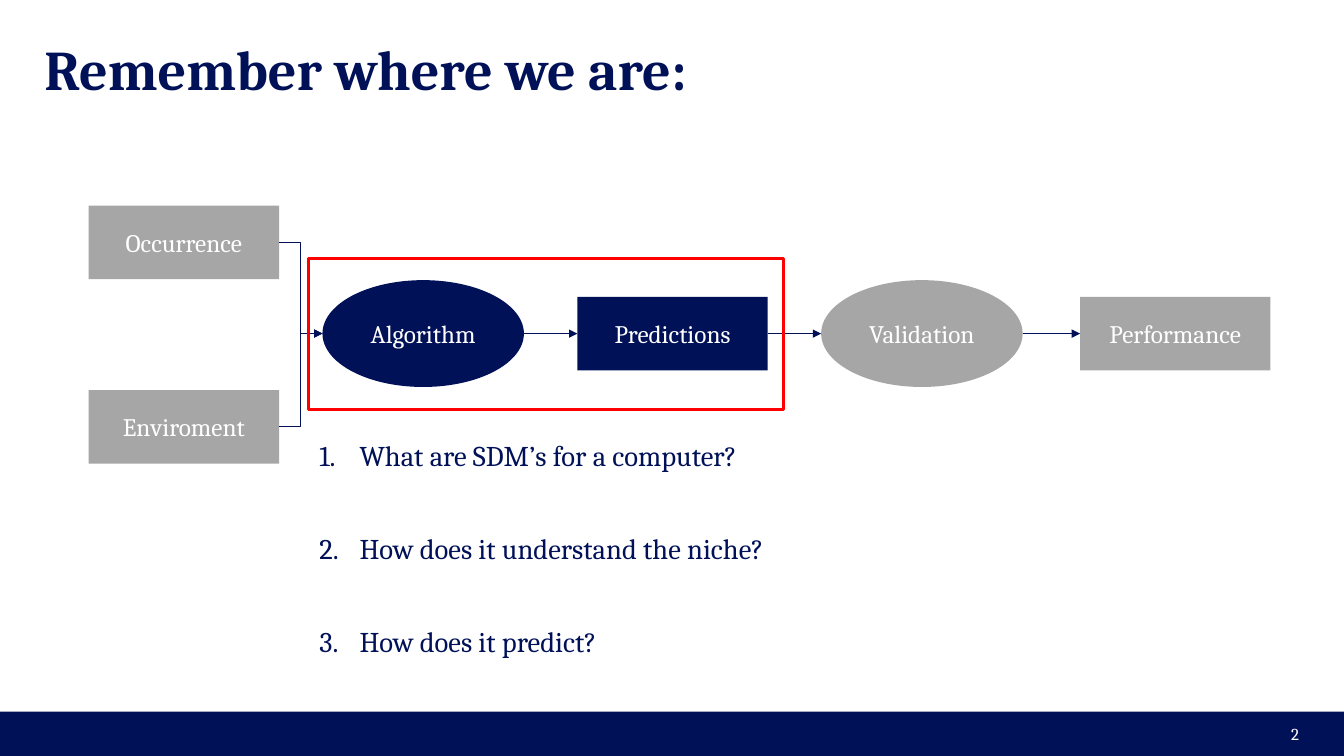
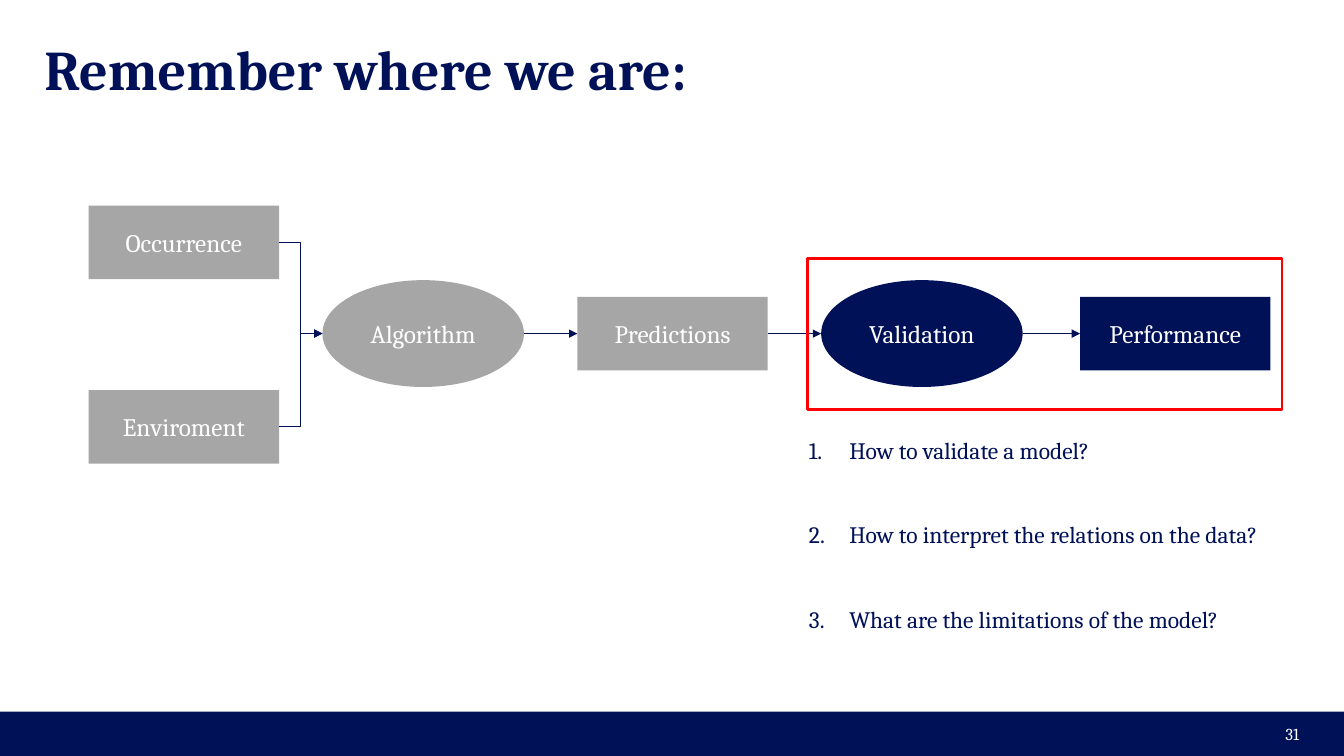
from dataclasses import dataclass

from lxml import etree
from pptx import Presentation
from pptx.dml.color import RGBColor
from pptx.enum.shapes import MSO_CONNECTOR, MSO_SHAPE
from pptx.enum.text import MSO_ANCHOR, MSO_AUTO_SIZE, PP_ALIGN
from pptx.oxml.ns import qn
from pptx.util import Inches, Pt

RECT, OVAL = MSO_SHAPE.RECTANGLE, MSO_SHAPE.OVAL
STRAIGHT, ELBOW = MSO_CONNECTOR.STRAIGHT, MSO_CONNECTOR.ELBOW
MIDDLE, TOP = MSO_ANCHOR.MIDDLE, MSO_ANCHOR.TOP
LEFT, CENTER, RIGHT = PP_ALIGN.LEFT, PP_ALIGN.CENTER, PP_ALIGN.RIGHT
NO_FIT = MSO_AUTO_SIZE.NONE
LEFT_SIDE, RIGHT_SIDE = 1, 3


@dataclass(frozen=True)
class Theme:
    """Colours, font and type sizes shared by the slides."""
    navy: RGBColor = RGBColor.from_string("001158")
    grey: RGBColor = RGBColor.from_string("A6A6A6")
    red: RGBColor = RGBColor.from_string("FF0000")
    white: RGBColor = RGBColor.from_string("FFFFFF")
    font: str = "Cambria"
    title: float = 40
    step: float = 18
    number: float = 12


@dataclass(frozen=True)
class Box:
    """A region in EMU that yields areas given in percent of itself."""
    left: int
    top: int
    width: int
    height: int

    def area(self, x, y, w, h):
        """Return the region at these percentages of this one."""
        return Box(int(self.left + self.width * x / 100), int(self.top + self.height * y / 100),
                   int(self.width * w / 100), int(self.height * h / 100))

    def place(self):
        """Return left, top, width and height."""
        return self.left, self.top, self.width, self.height


THEME = Theme()
PAGE = Box(0, 0, Inches(13.34), Inches(7.5))
TITLE_BOX = PAGE.area(3.3, 5.87, 93.4, 6.27)
BAND_BOX = PAGE.area(0, 94.13, 100, 5.87)
DIAGRAM_BOX = PAGE.area(6.6, 27.2, 87.93, 34.13)

RECT_SIZE, OVAL_SIZE = (16.11, 28.52), (17.05, 41.41)
FLOW_MIDDLE = 49.6
INPUTS = {"Occurrence": 0, "Enviroment": 100 - RECT_SIZE[1]}
FLOW = {"Algorithm": (OVAL, 19.78), "Predictions": (RECT, 41.35),
        "Validation": (OVAL, 61.98), "Performance": (RECT, 83.89)}

SECTIONS = [
    {"number": "2", "active": ("Algorithm", "Predictions"), "size": 20.4,
     "box": PAGE.area(23.76, 59.2, 34.48, 32.8),
     "questions": ["What are SDM’s for a computer?", "How does it understand the niche?",
                   "How does it predict?"]},
    {"number": "31", "active": ("Validation", "Performance"), "size": 16.8,
     "box": PAGE.area(60.19, 58.67, 34.48, 32.8),
     "questions": ["How to validate a model?", "How to interpret the relations on the data?",
                   "What are the limitations of the model?"]},
]


def style(paragraph, size, color, align, bold=False):
    """Format one paragraph in the theme font."""
    paragraph.alignment = align
    font = paragraph.font
    font.name, font.size, font.bold = THEME.font, Pt(size), bold
    font.color.rgb = color


def move(placeholder, box, anchor):
    """Place a placeholder in a box without margins or fitting."""
    placeholder.left, placeholder.top, placeholder.width, placeholder.height = box.place()
    frame = placeholder.text_frame
    frame.margin_left = frame.margin_right = frame.margin_top = frame.margin_bottom = 0
    frame.word_wrap, frame.auto_size, frame.vertical_anchor = True, NO_FIT, anchor
    return frame


def add_filled(slide, kind, box, color):
    """Add a plain shape filled with one colour."""
    shape = slide.shapes.add_shape(kind, *box.place())
    shape.shadow.inherit = False
    shape.fill.solid()
    shape.fill.fore_color.rgb = color
    shape.line.fill.background()
    return shape


def add_title(slide, box):
    """Fill the title placeholder."""
    frame = move(slide.shapes.title, box, MIDDLE)
    frame.text = "Remember where we are:"
    style(frame.paragraphs[0], THEME.title, THEME.navy, LEFT, bold=True)


def add_footer(slide, box, number):
    """Draw the bottom band with the slide number."""
    add_filled(slide, RECT, box, THEME.navy)
    frame = slide.shapes.add_textbox(*box.area(74.9, 4.5, 22.5, 91).place()).text_frame
    frame.word_wrap, frame.vertical_anchor = True, MIDDLE
    frame.text = number
    style(frame.paragraphs[0], THEME.number, THEME.white, RIGHT)


def add_step(slide, kind, box, label, active):
    """Draw one labelled step of the workflow."""
    step = add_filled(slide, kind, box, THEME.navy if label in active else THEME.grey)
    frame = step.text_frame
    frame.text, frame.vertical_anchor = label, MIDDLE
    style(frame.paragraphs[0], THEME.step, THEME.white, CENTER)
    return step


def add_arrow(slide, kind, source, target):
    """Lead an arrow from the right of one step to the left of another."""
    arrow = slide.shapes.add_connector(
        kind, source.left + source.width, source.top + source.height // 2,
        target.left, target.top + target.height // 2)
    arrow.line.color.rgb, arrow.line.width = THEME.navy, Pt(1)
    properties = arrow.element.spPr
    etree.SubElement(properties.find(qn("a:ln")), qn("a:tailEnd"), type="triangle")
    etree.SubElement(properties, qn("a:effectLst"))
    if kind == STRAIGHT and source.auto_shape_type == RECT:
        arrow.begin_connect(source, RIGHT_SIDE)
    if kind == STRAIGHT and target.auto_shape_type == RECT:
        arrow.end_connect(target, LEFT_SIDE)


def add_workflow(slide, box, active):
    """Draw the modelling workflow and frame its active steps."""
    flow = []
    for label, (kind, x) in FLOW.items():
        width, height = OVAL_SIZE if kind == OVAL else RECT_SIZE
        area = box.area(x, FLOW_MIDDLE - height / 2, width, height)
        flow.append(add_step(slide, kind, area, label, active))
    for label, y in INPUTS.items():
        source = add_step(slide, RECT, box.area(0, y, *RECT_SIZE), label, active)
        add_arrow(slide, ELBOW, source, flow[0])
    for source, target in zip(flow, flow[1:]):
        add_arrow(slide, STRAIGHT, source, target)
    first_x = FLOW[active[0]][1]
    focus = add_filled(slide, RECT, box.area(first_x - 1.15, 20.5, 40.15, 58.59), THEME.red)
    focus.fill.background()
    focus.line.color.rgb, focus.line.width = THEME.red, Pt(2)


def add_questions(slide, box, questions, size):
    """Fill the body placeholder with a numbered list."""
    frame = move(slide.placeholders[1], box, TOP)
    frame.text = "\n".join(questions)
    for index, paragraph in enumerate(frame.paragraphs):
        properties = paragraph._p.get_or_add_pPr()
        properties.set("marL", str(Inches(0.4)))
        properties.set("indent", str(-Inches(0.4)))
        bullet_color = etree.SubElement(properties, qn("a:buClr"))
        etree.SubElement(bullet_color, qn("a:srgbClr"), val=str(THEME.navy))
        etree.SubElement(properties, qn("a:buFont"), typeface=THEME.font)
        etree.SubElement(properties, qn("a:buAutoNum"), type="arabicPeriod")
        paragraph.line_spacing = 0.7
        paragraph.space_before = Pt(32 + 0.85 * size) if index else Pt(0)
        paragraph.space_after = Pt(0)
        style(paragraph, size, THEME.navy, LEFT)


def add_section(deck, section):
    """Build one slide that recalls the place in the workflow."""
    slide = deck.slides.add_slide(deck.slide_layouts[1])
    add_title(slide, TITLE_BOX)
    add_footer(slide, BAND_BOX, section["number"])
    add_workflow(slide, DIAGRAM_BOX, section["active"])
    add_questions(slide, section["box"], section["questions"], section["size"])


def main():
    """Build and save the deck."""
    deck = Presentation()
    deck.slide_width, deck.slide_height = PAGE.width, PAGE.height
    for section in SECTIONS:
        add_section(deck, section)
    deck.save("out.pptx")


if __name__ == "__main__":
    main()
